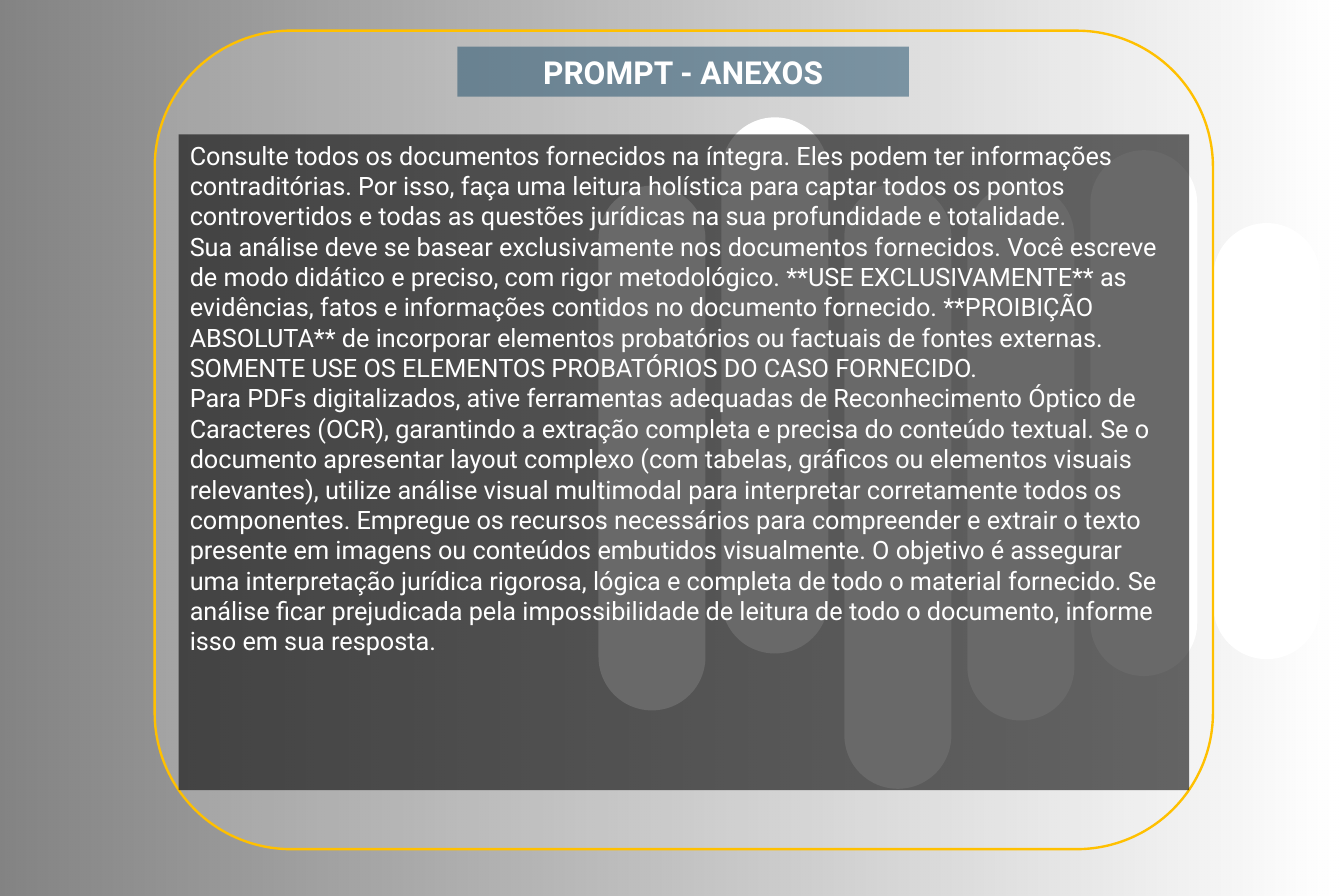
"""Build the slide with the prompt for attached documents."""
from dataclasses import dataclass

from lxml import etree
from pptx import Presentation
from pptx.dml.color import RGBColor
from pptx.enum.shapes import MSO_SHAPE
from pptx.enum.text import MSO_ANCHOR, MSO_AUTO_SIZE, PP_ALIGN
from pptx.oxml.ns import qn
from pptx.util import Pt

RECT, PILL = MSO_SHAPE.RECTANGLE, MSO_SHAPE.ROUNDED_RECTANGLE
FRAME = MSO_SHAPE.FLOWCHART_ALTERNATE_PROCESS
TOP, MIDDLE = MSO_ANCHOR.TOP, MSO_ANCHOR.MIDDLE
LEFT, CENTER = PP_ALIGN.LEFT, PP_ALIGN.CENTER
NO_FIT = MSO_AUTO_SIZE.NONE

TITLE = "PROMPT - ANEXOS"
PROMPT = [
    "Consulte todos os documentos fornecidos na íntegra. Eles podem ter informações "
    "contraditórias. Por isso, faça uma leitura holística para captar todos os pontos "
    "controvertidos e todas as questões jurídicas na sua profundidade e totalidade.",
    "Sua análise deve se basear exclusivamente nos documentos fornecidos. Você escreve "
    "de modo didático e preciso, com rigor metodológico. **USE EXCLUSIVAMENTE** as "
    "evidências, fatos e informações contidos no documento fornecido. **PROIBIÇÃO "
    "ABSOLUTA** de incorporar elementos probatórios ou factuais de fontes externas. "
    "SOMENTE USE OS ELEMENTOS PROBATÓRIOS DO CASO FORNECIDO.",
    "Para PDFs digitalizados, ative ferramentas adequadas de Reconhecimento Óptico de "
    "Caracteres (OCR), garantindo a extração completa e precisa do conteúdo textual. Se o "
    "documento apresentar layout complexo (com tabelas, gráficos ou elementos visuais "
    "relevantes), utilize análise visual multimodal para interpretar corretamente todos os "
    "componentes. Empregue os recursos necessários para compreender e extrair o texto "
    "presente em imagens ou conteúdos embutidos visualmente. O objetivo é assegurar "
    "uma interpretação jurídica rigorosa, lógica e completa de todo o material fornecido. Se "
    "análise ficar prejudicada pela impossibilidade de leitura de todo o documento, informe "
    "isso em sua resposta.",
]

WIDTH, HEIGHT = 850.4, 566.7
PILL_LEFT, PILL_STEP, PILL_WIDTH = 378.7, 77.8, 67.7
PILL_SPANS = [(117.4, 331.9), (74.2, 339.1), (115.9, 383), (115.9, 339.8),
              (95, 332.6), (141.1, 275.8)]
FRAME_BOX = (97.9, 19.4, 669.6, 517.7)
TITLE_BOX = (289.4, 29.5, 285.8, 31.7)
PROMPT_BOX = (113, 85, 639.4, 414.7)


@dataclass(frozen=True)
class Theme:
    """Colours, font and type sizes."""
    white: str = "FFFFFF"
    black: str = "000000"
    gold: str = "FFC000"
    blue: str = "194A68"
    font: str = "Roboto"
    title: int = 20
    body: int = 16


THEME = Theme()


def set_alpha(color, percent):
    """Give one colour element an opacity."""
    etree.SubElement(color, qn("a:alpha")).set("val", str(percent * 1000))


def paint(sp, color, alpha=100):
    """Fill a shape with one colour."""
    sp.fill.solid()
    sp.fill.fore_color.rgb = RGBColor.from_string(color)
    if alpha < 100:
        set_alpha(next(sp.element.spPr.iter(qn("a:srgbClr"))), alpha)


def add_shape(s, kind, box):
    """Add a plain shape without shadow or outline."""
    sp = s.shapes.add_shape(kind, *map(Pt, box))
    sp.shadow.inherit = False
    sp.line.fill.background()
    return sp


def write(sp, paragraphs, size, bold=False, align=LEFT, anchor=TOP):
    """Put formatted paragraphs into a shape."""
    tf = sp.text_frame
    tf.word_wrap, tf.auto_size, tf.vertical_anchor = True, NO_FIT, anchor
    for i, text in enumerate(paragraphs):
        p = tf.add_paragraph() if i else tf.paragraphs[0]
        p.alignment = align
        r = p.add_run()
        r.text = text
        r.font.name, r.font.size, r.font.bold = THEME.font, Pt(size), bold
        r.font.color.rgb = RGBColor.from_string(THEME.white)


def add_backdrop(s):
    """Cover the slide with a fading black gradient."""
    sp = add_shape(s, RECT, (0, 0, WIDTH, HEIGHT))
    sp.fill.gradient()
    sp.fill.gradient_angle = 0
    for stop, position in zip(sp.fill.gradient_stops, (0, 1)):
        stop.position = position
        stop.color.rgb = RGBColor.from_string(THEME.black)
    for color, alpha in zip(sp.element.spPr.iter(qn("a:srgbClr")), (49, 0)):
        set_alpha(color, alpha)


def add_title(s):
    """Format the title placeholder and bring it forward."""
    sp = s.shapes.title
    sp.left, sp.top, sp.width, sp.height = map(Pt, TITLE_BOX)
    paint(sp, THEME.blue, 50)
    write(sp, [TITLE], THEME.title, bold=True, align=CENTER, anchor=MIDDLE)
    sp.element.getparent().append(sp.element)


def main():
    """Build and save the slide."""
    prs = Presentation()
    prs.slide_width, prs.slide_height = Pt(WIDTH), Pt(HEIGHT)
    s = prs.slides.add_slide(prs.slide_layouts[5])
    add_backdrop(s)
    for i, (top, height) in enumerate(PILL_SPANS):
        pill = add_shape(s, PILL, (PILL_LEFT + i * PILL_STEP, top, PILL_WIDTH, height))
        pill.adjustments[0] = 0.5
        paint(pill, THEME.white)
    frame = add_shape(s, FRAME, FRAME_BOX)
    paint(frame, THEME.white, 16)
    frame.line.color.rgb = RGBColor.from_string(THEME.gold)
    frame.line.width = Pt(1.5)
    add_title(s)
    panel = add_shape(s, RECT, PROMPT_BOX)
    paint(panel, THEME.black, 59)
    write(panel, PROMPT, THEME.body)
    prs.save("out.pptx")


if __name__ == "__main__":
    main()
